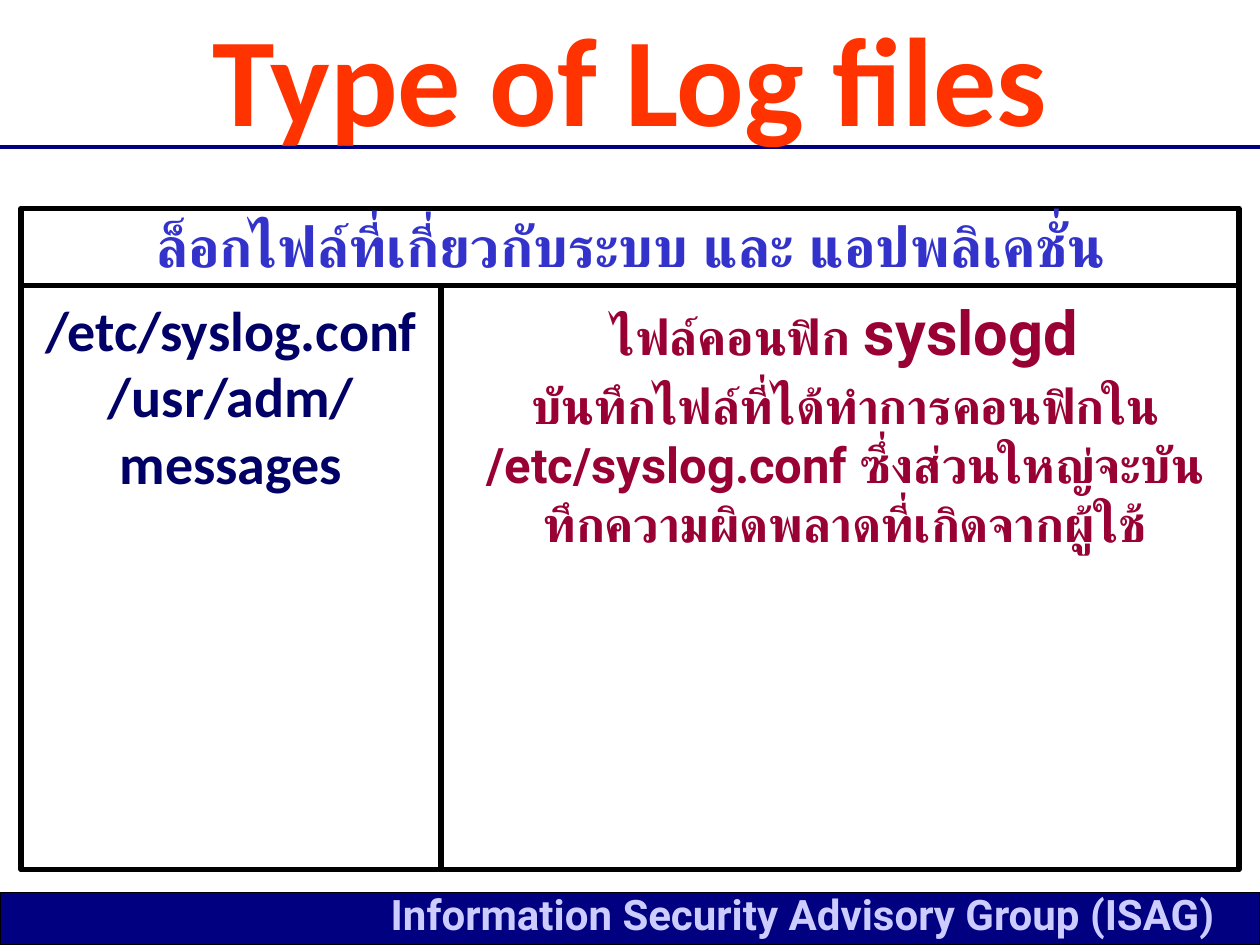
from pptx import Presentation
from pptx import util as u
from pptx.dml.color import RGBColor
from pptx.enum import shapes, text
from pptx.oxml.ns import qn
from lxml import etree

Pt = u.Pt
NAVY, BLACK, INK, WINE = "000080", "000000", "000066", "990033"


def hue(code):
    return RGBColor.from_string(code)


def line(slide, x1, y1, x2, y2, color=BLACK, width=3):
    rule = slide.shapes.add_connector(
        shapes.MSO_CONNECTOR.STRAIGHT, Pt(x1), Pt(y1), Pt(x2), Pt(y2))
    rule.line.color.rgb = hue(color)
    rule.line.width = Pt(width)
    etree.SubElement(rule._element.spPr, qn("a:effectLst"))


def rect(slide, x, y, w, h, fill=None, width=3):
    box = slide.shapes.add_shape(
        shapes.MSO_SHAPE.RECTANGLE, Pt(x), Pt(y), Pt(w), Pt(h))
    box.shadow.inherit = False
    if fill:
        box.fill.solid()
        box.fill.fore_color.rgb = hue(fill)
    else:
        box.fill.background()
    box.line.color.rgb = hue(BLACK)
    box.line.width = Pt(width)


def style(frame, sizes, face, color, align=text.PP_ALIGN.CENTER):
    frame.word_wrap = True
    frame.auto_size = text.MSO_AUTO_SIZE.NONE
    frame.vertical_anchor = text.MSO_ANCHOR.MIDDLE
    para = frame.paragraphs[0]
    para.alignment = align
    for run, size in zip(para.runs, sizes):
        run.font.name = face
        run.font.size = Pt(size)
        run.font.bold = True
        run.font.color.rgb = hue(color)


def label(slide, x, y, w, h, parts, sizes, face, color, **extra):
    frame = slide.shapes.add_textbox(Pt(x), Pt(y), Pt(w), Pt(h)).text_frame
    for part in parts:
        frame.paragraphs[0].add_run().text = part
    style(frame, sizes, face, color, **extra)
    return frame


def title(slide, words):
    head = slide.shapes.title
    head.left, head.top, head.width, head.height = 0, Pt(-3.6), Pt(720), Pt(93.6)
    head.text_frame.text = words
    style(head.text_frame, [72], "Calibri", "FF3300")
    head.text_frame.paragraphs[0].line_spacing = 1.0
    slide.shapes._spTree.append(head._element)


def footer(slide):
    rect(slide, 0, 510, 720, 30, NAVY, 0.75)
    frame = label(slide, 0, 510, 720, 24,
                  ["Information Security Advisory Group (ISAG)"],
                  [24], "Roboto", "CCCCFF", align=text.PP_ALIGN.RIGHT)
    frame.margin_right = Pt(26)


def grid(slide):
    left, top, right, base, split, mid = 12, 119, 708, 497, 252, 163
    rect(slide, left, top, right - left, base - top)
    line(slide, left, mid, right, mid)
    line(slide, split, mid, split, base)
    label(slide, 14, 117, 693, 46,
          ["ล็อกไฟล์ที่เกี่ยวกับระบบ และ แอปพลิเคชั่น"], [32], "Roboto", "3333CC")
    for y, name in ((146, "/etc/syslog.conf"), (203, "/usr/adm/messages")):
        label(slide, 18, y, 228, 84, [name], [32], "Calibri", INK)
    label(slide, 264, 164, 438, 50, ["ไฟล์คอนฟิก ", "syslogd"],
          [28, 35], "Roboto", WINE)
    label(slide, 264, 211, 438, 108,
          ["บันทึกไฟล์ที่ได้ทำการคอนฟิกใน /etc/syslog.conf "
           "ซึ่งส่วนใหญ่จะบันทึกความผิดพลาดที่เกิดจากผู้ใช้"],
          [28], "Roboto", WINE)


def main():
    deck = Presentation()
    deck.slide_width, deck.slide_height = Pt(720), Pt(540)
    slide = deck.slides.add_slide(deck.slide_layouts[5])
    line(slide, 0, 84, 720, 84, NAVY, 2.25)
    footer(slide)
    grid(slide)
    title(slide, "Type of Log files")
    deck.save("out.pptx")


if __name__ == "__main__":
    main()
